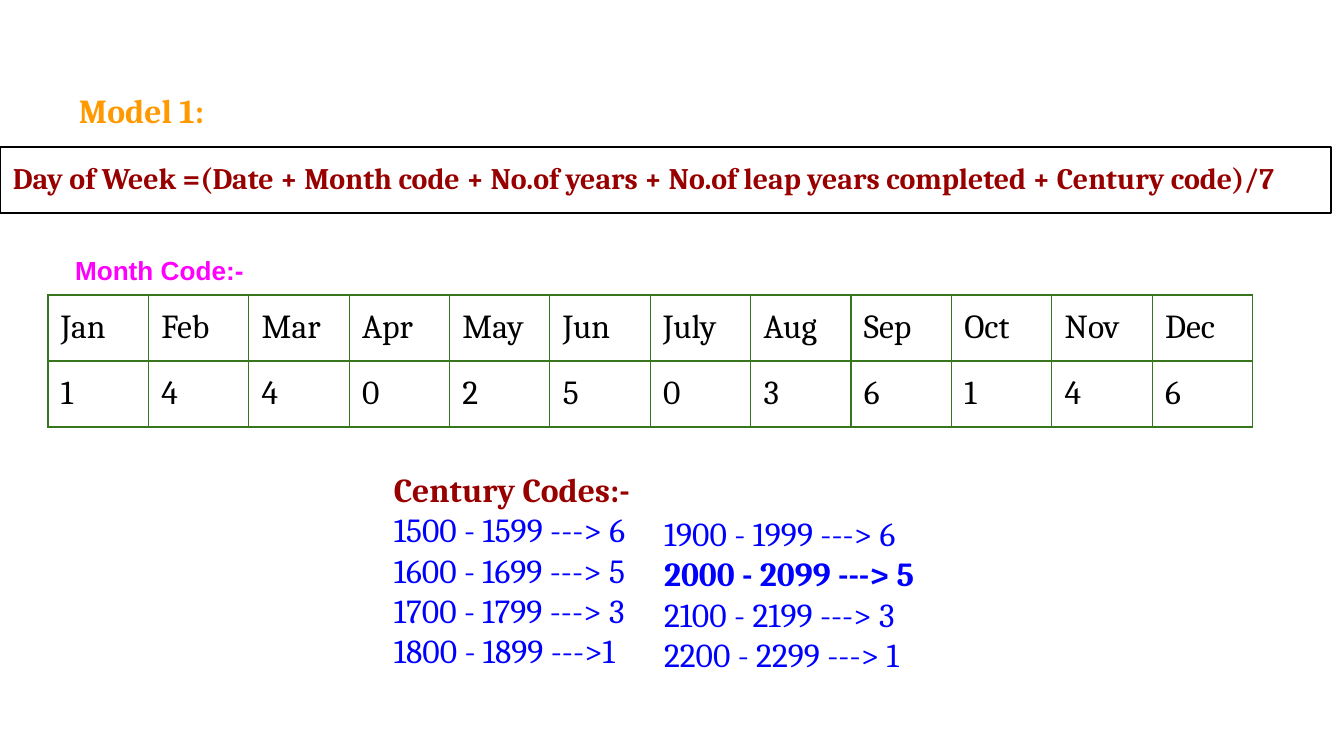
from lxml import etree
from pptx import Presentation
from pptx import util as u
from pptx.dml.color import RGBColor
from pptx.enum import shapes, text
from pptx.oxml.ns import qn

SCALE = 914400 / 134.4
MAROON, BLUE, GREEN, BLACK = "980000", "0000FF", "38761D", "000000"


def px(length):
    return u.Emu(round(length * SCALE))


def colour(value):
    return RGBColor.from_string(value)


class SlideBuilder:
    """Holds the text style and the current slide, and adds each kind of element."""

    font = "Cambria"
    size = 18
    inset = 13
    line_width = 0.75

    def __init__(self, slide):
        self.slide = slide

    def add_lines(self, frame, lines, size=None, font=None):
        frame.word_wrap = True
        frame.auto_size = text.MSO_AUTO_SIZE.NONE
        frame.vertical_anchor = text.MSO_ANCHOR.TOP
        frame.margin_left = frame.margin_right = px(self.inset)
        frame.margin_top = frame.margin_bottom = px(self.inset)
        for index, (words, hue, bold) in enumerate(lines):
            paragraph = frame.add_paragraph() if index else frame.paragraphs[0]
            self.add_run(paragraph, words, hue, bold, size, font)

    def add_run(self, paragraph, words, hue, bold=False, size=None, font=None):
        paragraph.alignment = text.PP_ALIGN.LEFT
        paragraph.space_before = u.Pt(0)
        run = paragraph.add_run()
        run.text = words
        run.font.name = font or self.font
        run.font.size = u.Pt(size or self.size)
        run.font.bold = bold
        run.font.color.rgb = colour(hue)

    def placeholder(self, index, box, lines):
        shape = self.slide.placeholders[index]
        shape.left, shape.top, shape.width, shape.height = map(px, box)
        self.add_lines(shape.text_frame, lines)
        return shape

    def plain_list(self, index, box, lines):
        shape = self.placeholder(index, box, lines)
        for paragraph in shape.text_frame.paragraphs:
            properties = paragraph._p.get_or_add_pPr()
            properties.set("marL", "0")
            properties.set("indent", "0")
            etree.SubElement(properties, qn("a:buNone"))

    def label(self, box, words, hue, size, font):
        shape = self.slide.shapes.add_textbox(*map(px, box))
        self.add_lines(shape.text_frame, [(words, hue, True)], size, font)

    def framed_text(self, box, words, hue, size):
        shape = self.slide.shapes.add_shape(shapes.MSO_SHAPE.RECTANGLE, *map(px, box))
        shape.shadow.inherit = False
        shape.fill.background()
        shape.line.color.rgb = colour(BLACK)
        shape.line.width = u.Pt(self.line_width)
        self.add_lines(shape.text_frame, [(words, hue, True)], size)

    def table(self, box, rows):
        frame = self.slide.shapes.add_table(len(rows), len(rows[0]), *map(px, box))
        table = frame.table
        table.first_row = table.horz_banding = False
        for row_index, row in enumerate(rows):
            for column_index, words in enumerate(row):
                cell = table.cell(row_index, column_index)
                cell.margin_left = cell.margin_right = px(self.inset)
                cell.margin_top = cell.margin_bottom = px(self.inset)
                self.add_run(cell.text_frame.paragraphs[0], words, BLACK)
                self.cell_borders(cell, GREEN)
                cell.fill.background()

    def cell_borders(self, cell, hue):
        properties = cell._tc.get_or_add_tcPr()
        for side in ("a:lnL", "a:lnR", "a:lnT", "a:lnB"):
            line = etree.SubElement(properties, qn(side), w=str(u.Pt(self.line_width)))
            fill = etree.SubElement(line, qn("a:solidFill"))
            etree.SubElement(fill, qn("a:srgbClr"), val=hue)


def main():
    presentation = Presentation()
    presentation.slide_width, presentation.slide_height = px(1344), px(756)
    two_content = presentation.slide_layouts[3]
    builder = SlideBuilder(presentation.slides.add_slide(two_content))

    builder.placeholder(0, (66, 77, 305, 66), [("Model 1:", "FF9900", True)])
    builder.framed_text(
        (0, 147, 1331, 66),
        "Day of Week =(Date + Month code + No.of years + No.of leap years completed + Century code)/7",
        MAROON, 16)
    builder.label((62, 241, 235, 51), "Month Code:-", "FF00FF", 14, "Arial")
    months = "Jan Feb Mar Apr May Jun July Aug Sep Oct Nov Dec".split()
    builder.table((48, 295, 1205, 132), [months, list("144025036146")])

    builder.plain_list(1, (381, 456, 543, 200), [
        ("Century Codes:-", MAROON, True),
        ("1500 - 1599 ---> 6", BLUE, False),
        ("1600 - 1699 ---> 5", BLUE, False),
        ("1700 - 1799 ---> 3", BLUE, False),
        ("1800 - 1899 --->1", BLUE, False)])
    builder.plain_list(2, (651, 500, 306, 157), [
        ("1900 - 1999 ---> 6", BLUE, False),
        ("2000 - 2099 ---> 5", BLUE, True),
        ("2100 - 2199 ---> 3", BLUE, False),
        ("2200 - 2299 ---> 1", BLUE, False)])
    presentation.save("out.pptx")


if __name__ == "__main__":
    main()
